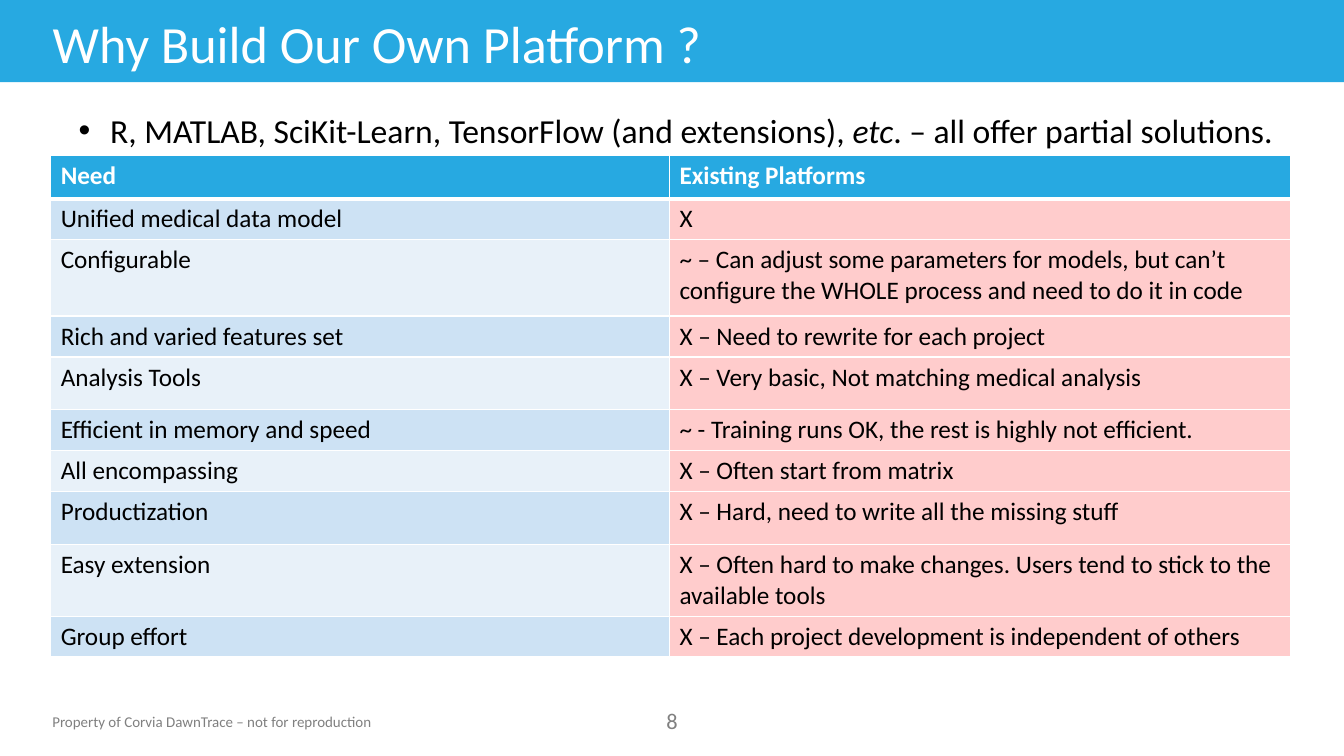
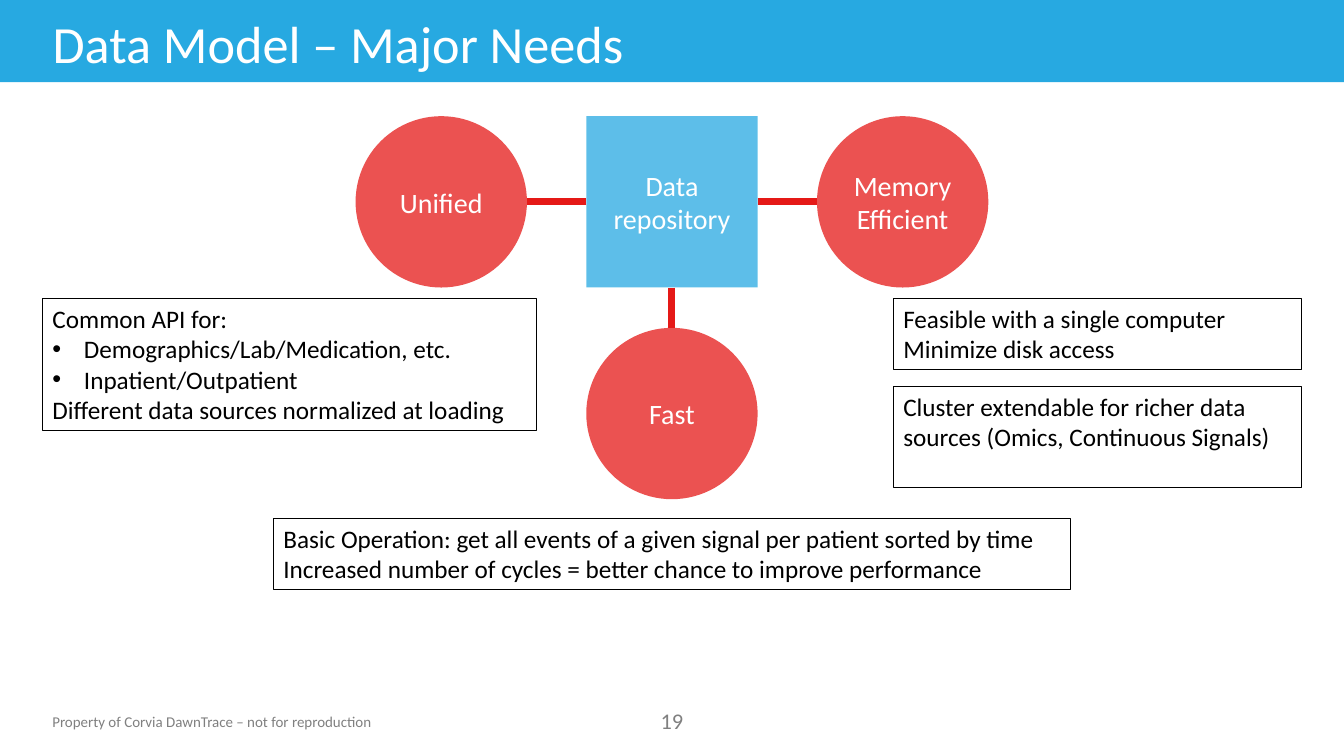
from lxml import etree
from pptx import Presentation
from pptx.dml.color import RGBColor
from pptx.enum import shapes, text
from pptx.oxml import ns
from pptx.util import Pt

COLORS = {
    "band": "27A9E1", "repository": "27A9E2", "red": "E51917", "partial": "FF0000",
    "odd row": "CDE2F4", "even row": "E8F1F9",
    "white": "FFFFFF", "black": "000000", "grey": "808080",
}
FONT = "Calibri"
FOOTER = "Property of Corvia DawnTrace – not for reproduction"

PLATFORM_TITLE, PLATFORM_NUMBER = "Why Build Our Own Platform ?", "8"
# Runs are (text, italic)
PLATFORM_LEAD = [
    ("R, MATLAB, SciKit-Learn, TensorFlow (and extensions), ", False),
    ("etc", True),
    (". – all offer partial solutions.", False),
]
# Rows are (need, existing platforms, height)
NEEDS = [
    ("Need", "Existing Platforms", 30.7),
    ("Unified medical data model", "X", 29.2),
    ("Configurable", "~ – Can adjust some parameters for models, but can’t "
     "configure the WHOLE process and need to do it in code", 54.7),
    ("Rich and varied features set", "X – Need to rewrite for each project", 29.2),
    ("Analysis Tools", "X – Very basic, Not matching medical analysis", 37.8),
    ("Efficient in memory and speed",
     "~ - Training runs OK, the rest is highly not efficient.", 29.2),
    ("All encompassing", "X – Often start from matrix", 29.2),
    ("Productization", "X – Hard, need to write all the missing stuff", 37.8),
    ("Easy extension", "X – Often hard to make changes. Users tend to stick to the "
     "available tools", 51.2),
    ("Group effort", "X – Each project development is independent of others", 29.2),
]
COLUMN_WIDTHS = (442, 444)

MODEL_TITLE, MODEL_NUMBER = "Data Model – Major Needs", "19"
REPOSITORY = "Data repository"
NODE_SIZE, REPOSITORY_LEFT, REPOSITORY_TOP = 122.4, 418.8, 83
STEP_ACROSS, STEP_DOWN = 164.8, 151.2
# Circles are (text, column step, row step, side of the repository)
CIRCLES = [
    ("Unified", -1, 0, 1),
    ("Fast", 0, 1, 2),
    ("Memory Efficient", 1, 0, 3),
]
# Notes are (left, top, width, height), then paragraphs of (text, bulleted)
NOTES = [
    ((638.1, 213.2, 291.6, 50.9), [("Feasible with a single computer", False),
                                   ("Minimize disk access", False)]),
    ((30.4, 213.2, 353, 94.3), [("Common API for:", False),
                                ("Demographics/Lab/Medication, etc.", True),
                                ("Inpatient/Outpatient", True),
                                ("Different data sources normalized at loading", False)]),
    ((195.3, 370.2, 569.5, 50.9), [
        ("Basic Operation: get all events of a given signal per patient sorted by time", False),
        ("Increased number of cycles = better chance to improve performance", False)]),
    ((638.1, 275.9, 291.6, 72.5), [
        ("Cluster extendable for richer data sources (Omics, Continuous Signals)", False)]),
]


def rgb(color):
    return RGBColor.from_string(COLORS[color])


def points(*lengths):
    return [Pt(length) for length in lengths]


def add_run(paragraph, content, size, color, bold=False, italic=False):
    run = paragraph.add_run()
    run.text = content
    font = run.font
    font.name, font.size, font.bold, font.italic = FONT, Pt(size), bold, italic
    font.color.rgb = rgb(color)


def add_bullet(paragraph):
    properties = paragraph._p.get_or_add_pPr()
    properties.set("marL", str(Pt(22.5)))
    properties.set("indent", str(-Pt(22.5)))
    etree.SubElement(properties, ns.qn("a:buFont"), typeface="Arial")
    etree.SubElement(properties, ns.qn("a:buChar"), char="•")


def fill_solid(fill, properties, color, opacity=100):
    """Fill a shape or cell; properties is the XML element that holds the fill."""
    fill.solid()
    fill.fore_color.rgb = rgb(color)
    if opacity < 100:
        value = properties.find(f"{ns.qn('a:solidFill')}/{ns.qn('a:srgbClr')}")
        etree.SubElement(value, ns.qn("a:alpha"), val=str(opacity * 1000))


def place(shape, *box):
    shape.left, shape.top, shape.width, shape.height = points(*box)


def add_plain_shape(slide, kind, box, color=None, opacity=100):
    shape = slide.shapes.add_shape(kind, *points(*box))
    shape.shadow.inherit = False
    shape.line.fill.background()
    if color:
        fill_solid(shape.fill, shape.element.spPr, color, opacity)
    else:
        shape.fill.background()
    shape.text_frame.word_wrap = True
    return shape


def add_label(slide, box, content, size, align):
    label = slide.shapes.add_textbox(*points(*box))
    label.text_frame.word_wrap = True
    paragraph = label.text_frame.paragraphs[0]
    paragraph.alignment = align
    add_run(paragraph, content, size, "grey")
    return label


def add_master_parts(presentation, slide):
    """Build the band and footer on a slide, then move them to the master."""
    band = add_plain_shape(slide, shapes.MSO_SHAPE.RECTANGLE, (0, 0, 960, 58.8), "band")
    footer = add_label(slide, (30.3, 505.4, 270, 20), FOOTER, 10.7, text.PP_ALIGN.LEFT)
    tree = presentation.slide_master.shapes.element
    for position, shape in enumerate((band, footer), start=2):
        tree.insert(position, shape.element)


def add_slide(presentation, layout, title, number):
    slide = presentation.slides.add_slide(presentation.slide_layouts.get_by_name(layout))
    heading = slide.shapes.title
    place(heading, 30.4, 4.3, 799, 52.6)
    frame = heading.text_frame
    frame.auto_size = text.MSO_AUTO_SIZE.NONE
    frame.vertical_anchor = text.MSO_ANCHOR.MIDDLE
    frame.paragraphs[0].alignment = text.PP_ALIGN.LEFT
    add_run(frame.paragraphs[0], title, 37.3, "white")
    add_label(slide, (451, 501.6, 58, 26.6), number, 16, text.PP_ALIGN.CENTER)
    return slide


def add_borders(cell, widths):
    properties = cell._tc.get_or_add_tcPr()
    for position, (side, width) in enumerate(widths.items()):
        line = etree.Element(ns.qn(f"a:{side}"), w=str(Pt(width)))
        fill = etree.SubElement(line, ns.qn("a:solidFill"))
        etree.SubElement(fill, ns.qn("a:srgbClr"), val=COLORS["white"])
        properties.insert(position, line)


def add_needs_table(slide):
    height = sum(row[-1] for row in NEEDS)
    table = slide.shapes.add_table(
        len(NEEDS), len(COLUMN_WIDTHS),
        *points(36.2, 111.2, sum(COLUMN_WIDTHS), height)).table
    for column, width in zip(table.columns, COLUMN_WIDTHS):
        column.width = Pt(width)
    for index, (*contents, height) in enumerate(NEEDS):
        header = index == 0
        table.rows[index].height = Pt(height)
        for column, content in enumerate(contents):
            cell = table.cell(index, column)
            add_run(cell.text_frame.paragraphs[0], content, 18,
                    "white" if header else "black", bold=header)
            if header:
                color, opacity = "band", 100
            elif column == 1:
                color, opacity = "partial", 20
            else:
                color, opacity = "odd row" if index % 2 else "even row", 100
            fill_solid(cell.fill, cell._tc.get_or_add_tcPr(), color, opacity)
            widths = {"lnL": 1, "lnR": 1}
            if header:
                widths["lnT"] = 1
            widths["lnB"] = 3 if header else 1
            add_borders(cell, widths)


def fill_platform_slide(slide):
    body = slide.placeholders[1]
    place(body, 49, 75, 875, 36)
    body.text_frame.auto_size = text.MSO_AUTO_SIZE.NONE
    body.text_frame.word_wrap = False
    paragraph = body.text_frame.paragraphs[0]
    paragraph.space_before = Pt(0)
    add_bullet(paragraph)
    for content, italic in PLATFORM_LEAD:
        add_run(paragraph, content, 24, "black", italic=italic)
    add_needs_table(slide)


def add_node(slide, kind, content, across, down, color):
    box = (REPOSITORY_LEFT + across * STEP_ACROSS, REPOSITORY_TOP + down * STEP_DOWN,
           NODE_SIZE, NODE_SIZE)
    node = add_plain_shape(slide, kind, box, color, 75)
    node.text_frame.vertical_anchor = text.MSO_ANCHOR.MIDDLE
    paragraph = node.text_frame.paragraphs[0]
    paragraph.alignment = text.PP_ALIGN.CENTER
    add_run(paragraph, content, 20, "white")
    return node


def add_link(slide, repository, side, across, down):
    """Join a side of the repository to the near edge of a circle."""
    center_x = REPOSITORY_LEFT + NODE_SIZE / 2
    center_y = REPOSITORY_TOP + NODE_SIZE / 2
    end = points(center_x + across * (STEP_ACROSS - NODE_SIZE / 2),
                 center_y + down * (STEP_DOWN - NODE_SIZE / 2))
    link = slide.shapes.add_connector(
        shapes.MSO_CONNECTOR.STRAIGHT, *points(center_x, center_y), *end)
    link.begin_connect(repository, side)
    link.line.color.rgb = rgb("red")
    link.line.width = Pt(5)
    etree.SubElement(link.element.spPr, ns.qn("a:effectLst"))


def add_note(slide, box, lines):
    note = add_plain_shape(slide, shapes.MSO_SHAPE.RECTANGLE, box)
    note.line.color.rgb = rgb("black")
    note.line.width = Pt(0.75)
    frame = note.text_frame
    frame.vertical_anchor = text.MSO_ANCHOR.TOP
    for index, (content, bulleted) in enumerate(lines):
        paragraph = frame.add_paragraph() if index else frame.paragraphs[0]
        paragraph.alignment = text.PP_ALIGN.LEFT
        if bulleted:
            add_bullet(paragraph)
        add_run(paragraph, content, 18, "black")


def fill_model_slide(slide):
    repository = add_node(slide, shapes.MSO_SHAPE.RECTANGLE, REPOSITORY, 0, 0, "repository")
    for content, across, down, side in CIRCLES:
        add_node(slide, shapes.MSO_SHAPE.OVAL, content, across, down, "red")
        add_link(slide, repository, side, across, down)
    for box, lines in NOTES:
        add_note(slide, box, lines)


def main():
    presentation = Presentation()
    presentation.slide_width, presentation.slide_height = points(960, 540)
    platform = add_slide(presentation, "Title and Content", PLATFORM_TITLE, PLATFORM_NUMBER)
    add_master_parts(presentation, platform)
    fill_platform_slide(platform)
    fill_model_slide(add_slide(presentation, "Title Only", MODEL_TITLE, MODEL_NUMBER))
    presentation.save("out.pptx")


if __name__ == "__main__":
    main()
